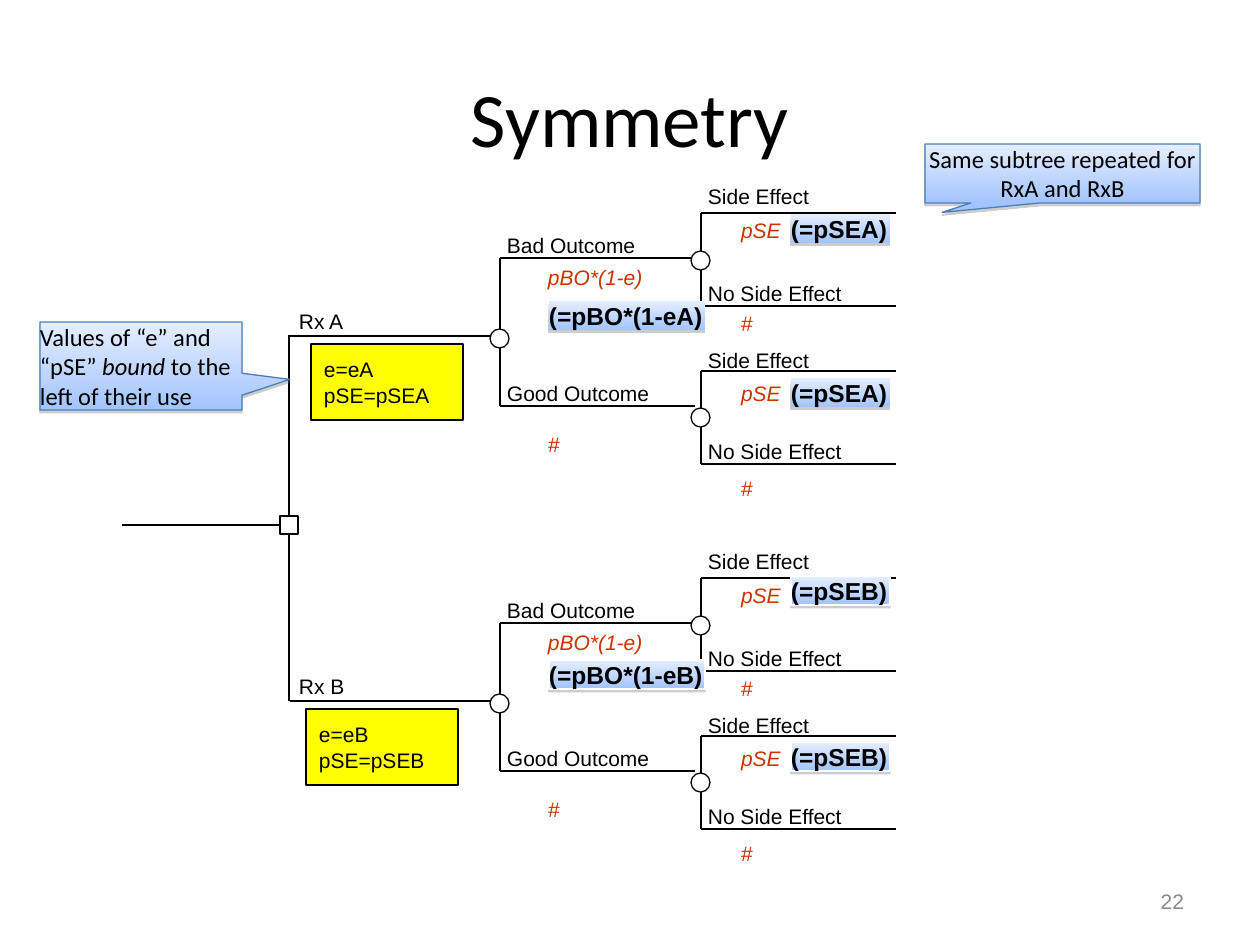
from lxml.etree import SubElement
from pptx import Presentation
from pptx.dml.color import RGBColor
from pptx.enum.shapes import MSO_CONNECTOR, MSO_SHAPE
from pptx.enum.text import MSO_ANCHOR, MSO_AUTO_SIZE, PP_ALIGN
from pptx.oxml.ns import qn
from pptx.util import Pt

BLACK = RGBColor(0x00, 0x00, 0x00)
WHITE = RGBColor(0xFF, 0xFF, 0xFF)
YELLOW = RGBColor(0xFF, 0xFF, 0x00)
RED = RGBColor(0xCC, 0x33, 0x00)
GREY = RGBColor(0x89, 0x89, 0x89)
PALE_BLUE = RGBColor(0xE5, 0xEE, 0xFF)
SKY_BLUE = RGBColor(0xA3, 0xC4, 0xFF)
EDGE_BLUE = RGBColor(0x4A, 0x7E, 0xBB)

# Content; all lengths are px, 126 to the inch
TITLE = "Symmetry"
PAGE = "22"
LABEL_WIDTHS = {"Rx A": 49, "Rx B": 49, "Bad Outcome": 133, "Good Outcome": 147,
                "Side Effect": 106, "No Side Effect": 139,
                "pBO*(1-e)": 99, "pSE": 44, "#": 15}

# Forks of the first arm: x, node top, probability indent, then per branch
# (label, line y, label rise, probability, probability drop)
FORKS = [
    (500, 329, 48, [("Bad Outcome", 258, 25, "pBO*(1-e)", 7),
                    ("Good Outcome", 406, 25, "#", 26)]),
    (701, 251, 40, [("Side Effect", 213, 29, "pSE", 5),
                    ("No Side Effect", 306, 25, "#", 5)]),
    (701, 408, 40, [("Side Effect", 371, 23, "pSE", 10),
                    ("No Side Effect", 464, 25, "#", 12)]),
]
ARM_Y, ARM_SHIFT, BRANCH = 336, 365, 195

# Arm name, bindings, their left and top, tag edge, tags (text, left, top, width)
ARMS = [
    ("Rx A", "e=eA\npSE=pSEA", 311, 344, None,
     [("(=pSEA)", 791, 214, 99), ("(=pSEA)", 791, 378, 99),
      ("(=pBO*(1-eA)", 549, 301, 156)]),
    ("Rx B", "e=eB\npSE=pSEB", 306, 709, WHITE,
     [("(=pSEB)", 791, 576, 99), ("(=pSEB)", 791, 742, 99),
      ("(=pBO*(1-eB)", 549, 660, 156)]),
]

# Text runs (every second one italic), box, pointer, alignment
CALLOUTS = [
    (("Same subtree repeated for RxA and RxB",), (925, 144, 275, 59),
     (-0.437, 0.659), PP_ALIGN.CENTER),
    (("Values of “e” and “pSE” ", "bound", " to the left of their use"),
     (40, 322, 202, 88), (0.737, 0.153), PP_ALIGN.LEFT),
]


def px(n):
    return round(n * 914400 / 126)


prs = Presentation()
prs.slide_width, prs.slide_height = px(1260), px(945)
slide = prs.slides.add_slide(prs.slide_layouts[5])
shapes = slide.shapes


def write(frame, runs, size=12, font="Arial", color=BLACK, bold=False, italic=False,
          align=PP_ALIGN.LEFT, anchor=MSO_ANCHOR.TOP, inset=(0, 0), wrap=False,
          grow=True, before=0):
    frame.word_wrap = wrap
    frame.auto_size = MSO_AUTO_SIZE.SHAPE_TO_FIT_TEXT if grow else MSO_AUTO_SIZE.NONE
    frame.vertical_anchor = anchor
    frame.margin_left = frame.margin_right = px(inset[0])
    frame.margin_top = frame.margin_bottom = px(inset[1])
    para = frame.paragraphs[0]
    para.alignment, para.space_before = align, Pt(before)
    for i, part in enumerate((runs,) if isinstance(runs, str) else runs):
        for j, line in enumerate(part.split("\n")):
            if j:
                para.add_line_break()
            run = para.add_run()
            run.text = line
            run.font.size, run.font.name = Pt(size), font
            run.font.bold, run.font.italic = bold, italic or i % 2 == 1
            run.font.color.rgb = color
    for line_break in para._p.findall(qn("a:br")):
        SubElement(line_break, qn("a:rPr"), sz=str(size * 100))


def label(text, x, y, **style):
    box = shapes.add_textbox(px(x), px(y), px(LABEL_WIDTHS[text]), px(25))
    write(box.text_frame, text, **style)


def line(x1, y1, x2, y2):
    link = shapes.add_connector(MSO_CONNECTOR.STRAIGHT, px(x1), px(y1), px(x2), px(y2))
    link.line.color.rgb, link.line.width = BLACK, Pt(0.75)
    SubElement(link._element.spPr, qn("a:effectLst"))
    return link


def block(kind, x, y, w, h, fill=WHITE, edge=BLACK):
    shape = shapes.add_shape(kind, px(x), px(y), px(w), px(h))
    shape.shadow.inherit = False
    if fill:
        shape.fill.solid()
        shape.fill.fore_color.rgb = fill
    if edge:
        shape.line.color.rgb, shape.line.width = edge, Pt(0.75)
    else:
        shape.line.fill.background()
    return shape


def blue_block(kind, x, y, w, h, edge):
    shape = block(kind, x, y, w, h, fill=None, edge=edge)
    shape.fill.gradient()
    shape.fill.gradient_angle = 270
    for stop, color, position in zip(shape.fill.gradient_stops,
                                     (PALE_BLUE, SKY_BLUE), (0, 1)):
        stop.color.rgb, stop.position = color, position
    effects = shape._element.spPr.find(qn("a:effectLst"))
    shadow = SubElement(effects, qn("a:outerShdw"), blurRad="0", dist="20320",
                        dir="5400000", rotWithShape="0")
    tint = SubElement(shadow, qn("a:srgbClr"), val="808080")
    SubElement(tint, qn("a:alpha"), val="38000")
    return shape


# Title and page number
title = shapes.title
title.left, title.top, title.width, title.height = px(63), px(38), px(1134), px(158)
write(title.text_frame, TITLE, size=44, font="Calibri", align=PP_ALIGN.CENTER,
      anchor=MSO_ANCHOR.MIDDLE, wrap=True, grow=False)
page = shapes.add_textbox(px(903), px(876), px(294), px(50))
write(page.text_frame, PAGE, color=GREY, align=PP_ALIGN.RIGHT,
      anchor=MSO_ANCHOR.MIDDLE, inset=(13, 6), wrap=True, grow=False)

# Decision node with its stem and trunk
line(289, ARM_Y - 1, 289, ARM_Y + ARM_SHIFT)
decision = block(MSO_SHAPE.RECTANGLE, 280, 516, 18, 18)
line(122, 525, 280, 525).end_connect(decision, 1)

# Both arms share one subtree
for index, (name, bindings, left, top, _, _) in enumerate(ARMS):
    shift = index * ARM_SHIFT
    line(290, ARM_Y + shift, 499, ARM_Y + shift)
    label(name, 299, ARM_Y + shift - 27)
    for x, node_y, indent, branches in FORKS:
        line(x, branches[0][1] + shift, x, branches[1][1] + shift)
        for outcome, y, rise, chance, drop in branches:
            line(x, y + shift, x + BRANCH, y + shift)
            label(outcome, x + 7, y + shift - rise)
            label(chance, x + indent, y + shift + drop, color=RED, italic=True)
        block(MSO_SHAPE.OVAL, x - 10, node_y + shift, 19, 19)
    bound = block(MSO_SHAPE.RECTANGLE, left, top, 152, 76, fill=YELLOW)
    write(bound.text_frame, bindings, inset=(13, 13), wrap=True, before=7.5)

# Callouts
for runs, box, pointer, align in CALLOUTS:
    callout = blue_block(MSO_SHAPE.RECTANGULAR_CALLOUT, *box, edge=EDGE_BLUE)
    callout.adjustments[0], callout.adjustments[1] = pointer
    write(callout.text_frame, runs, size=14, font="Calibri", align=align,
          wrap=True, grow=False)

# Evaluated probabilities
for *_, edge, tags in ARMS:
    for text, x, y, width in tags:
        tag = blue_block(MSO_SHAPE.RECTANGLE, x, y, width, 29, edge=edge)
        write(tag.text_frame, text, size=14, bold=True)

prs.save("out.pptx")
